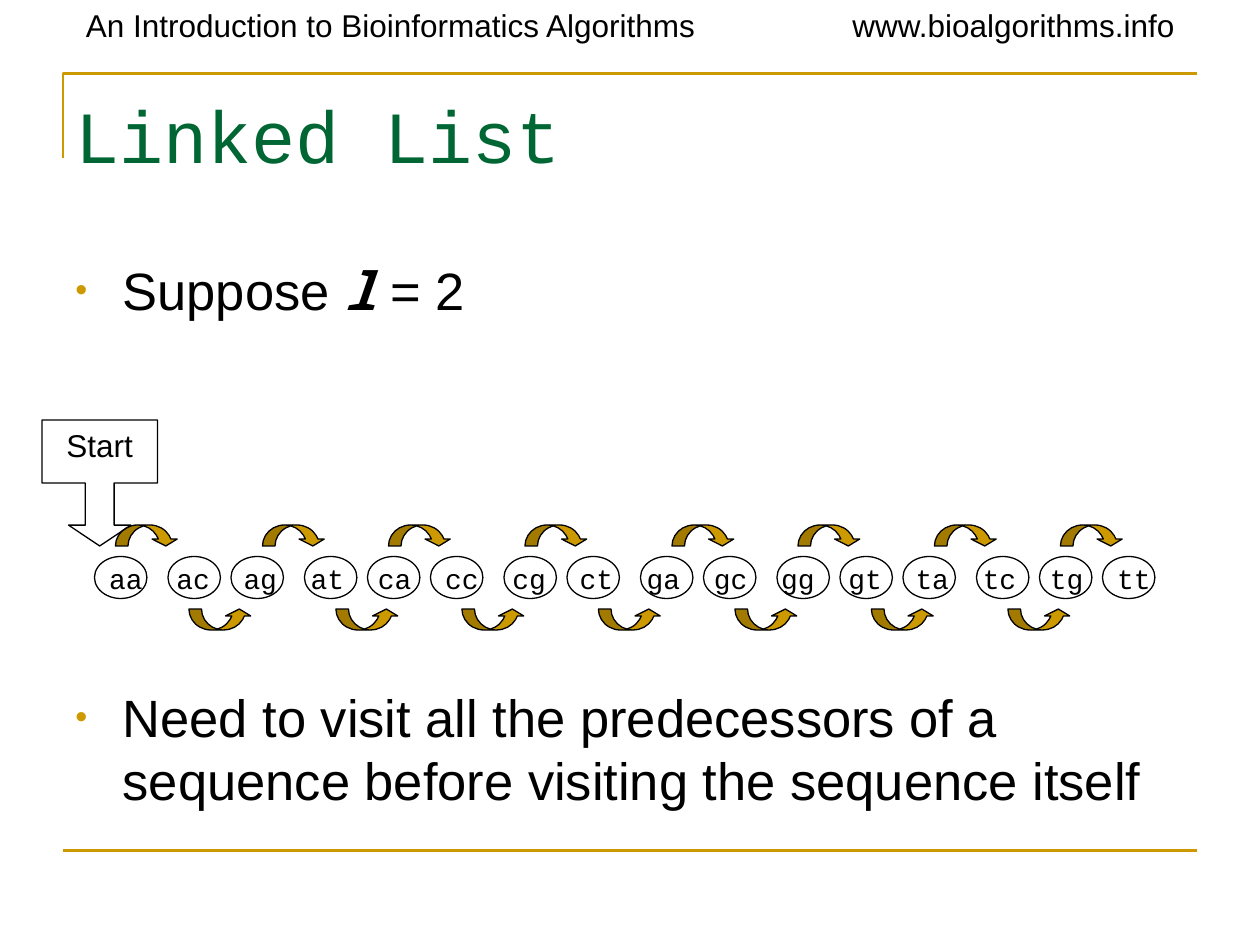
from lxml import etree
from pptx import Presentation
from pptx.dml.color import RGBColor
from pptx.enum.shapes import MSO_CONNECTOR, MSO_SHAPE
from pptx.enum.text import MSO_ANCHOR, PP_ALIGN
from pptx.oxml.ns import qn
from pptx.util import Cm, Pt

LEFT, CENTER = PP_ALIGN.LEFT, PP_ALIGN.CENTER
TOP, MIDDLE = MSO_ANCHOR.TOP, MSO_ANCHOR.MIDDLE
OVAL, CALLOUT = MSO_SHAPE.OVAL, MSO_SHAPE.DOWN_ARROW_CALLOUT
HOP_OVER, HOP_UNDER = MSO_SHAPE.CURVED_DOWN_ARROW, MSO_SHAPE.CURVED_UP_ARROW
STRAIGHT = MSO_CONNECTOR.STRAIGHT

THEME = {
    "gold": RGBColor(0xCC, 0x99, 0x00),
    "green": RGBColor(0x00, 0x66, 0x33),
    "black": RGBColor(0, 0, 0),
    "rule": Pt(1.5),
    "outline": Pt(0.75),
    "bullet_size": "65000",
}
HEADER = {"name": "Arial", "size": Pt(18)}
TITLE = {"name": "Courier New", "size": Pt(42)}
BODY = {"name": "Arial", "size": Pt(30)}
VARIABLE = {"name": "Noto Sans Mono", "size": Pt(30), "bold": True, "italic": True}
SEQUENCE = {"name": "Courier New", "size": Pt(16)}

HEADERS = [
    ("An Introduction to Bioinformatics Algorithms", (7, 0, 66, 4.8)),
    ("www.bioalgorithms.info", (80, 0, 35, 4.8)),
]
BULLETS = [
    ([("Suppose ", BODY), ("l", VARIABLE), (" = 2", BODY)], (6, 24, 108, 7.5)),
    ([("Need to visit all the predecessors of a sequence before visiting "
       "the sequence itself", BODY)], (6, 64.6, 108, 14)),
]
NODES = [
    ("aa", 9, 11), ("ac", 16, 18), ("ag", 22, 25), ("at", 29, 32),
    ("ca", 35, 37), ("cc", 41, 44), ("cg", 48, 50), ("ct", 54, 57),
    ("ga", 61, 64), ("gc", 67, 70), ("gg", 74, 76), ("gt", 80, 83),
    ("ta", 86, 89), ("tc", 93, 96), ("tg", 99, 101), ("tt", 105, None),
]
LABEL_PITCH = 6.4


def grid(units):
    return Cm(units * 2.54 / 12)


def fill_text(frame, runs, color, anchor=TOP, align=LEFT, inset=True):
    frame.word_wrap = True
    frame.vertical_anchor = anchor
    margins = {"margin_left": 0.25, "margin_right": 0.25,
               "margin_top": 0.13, "margin_bottom": 0.13}
    for margin, length in margins.items():
        setattr(frame, margin, Cm(length if inset else 0))
    paragraph = frame.paragraphs[0]
    paragraph.alignment = align
    for text, style in runs:
        run = paragraph.add_run()
        run.text = text
        run.font.color.rgb = color
        for attribute, setting in style.items():
            setattr(run.font, attribute, setting)
    return paragraph


def add_text(slide, box, runs, color=THEME["black"], **layout):
    textbox = slide.shapes.add_textbox(*map(grid, box))
    return fill_text(textbox.text_frame, runs, color, **layout)


def add_bullet(paragraph):
    properties = paragraph._p.get_or_add_pPr()
    properties.set("marL", str(grid(4.5)))
    properties.set("indent", str(-grid(4.5)))
    color = etree.SubElement(properties, qn("a:buClr"))
    etree.SubElement(color, qn("a:srgbClr"), val=str(THEME["gold"]))
    etree.SubElement(properties, qn("a:buSzPct"), val=THEME["bullet_size"])
    etree.SubElement(properties, qn("a:buFont"), typeface="Arial")
    etree.SubElement(properties, qn("a:buChar"), char="•")


def add_outlined(slide, kind, box, adjustments=(), fill=None):
    shape = slide.shapes.add_shape(kind, *map(grid, box))
    shape.shadow.inherit = False
    for index, ratio in enumerate(adjustments):
        shape.adjustments[index] = ratio
    if fill is None:
        shape.fill.background()
    else:
        shape.fill.solid()
        shape.fill.fore_color.rgb = fill
    shape.line.color.rgb = THEME["black"]
    shape.line.width = THEME["outline"]
    return shape


def add_rules(slide):
    outline = slide.shapes.build_freeform(grid(6), grid(15))
    outline.add_line_segments([(grid(6), grid(7)), (grid(114), grid(7))], close=False)
    corner = outline.convert_to_shape()
    corner.shadow.inherit = False
    corner.fill.background()
    footer = slide.shapes.add_connector(STRAIGHT, grid(6), grid(81), grid(114), grid(81))
    etree.SubElement(footer._element.spPr, qn("a:effectLst"))
    for rule in (corner, footer):
        rule.line.color.rgb = THEME["gold"]
        rule.line.width = THEME["rule"]


def add_labels(slide):
    labels = "\t".join(label for label, _, _ in NODES)
    paragraph = add_text(slide, (10.4, 53.5, 103, 3.2), [(labels, SEQUENCE)], inset=False)
    stops = etree.SubElement(paragraph._p.get_or_add_pPr(), qn("a:tabLst"))
    for step in range(1, len(NODES)):
        etree.SubElement(stops, qn("a:tab"), pos=str(grid(step * LABEL_PITCH)), algn="l")


def add_linked_list(slide):
    add_labels(slide)
    for _, column, _ in NODES:
        add_outlined(slide, OVAL, (column, 53, 5, 4))
    for index, (_, _, hop) in enumerate(NODES[:-1]):
        kind, row = (HOP_UNDER, 58) if index % 2 else (HOP_OVER, 50)
        add_outlined(slide, kind, (hop, row, 6, 2), (0.6, 1.2, 0.33), THEME["gold"])
    start = add_outlined(slide, CALLOUT, (4, 40, 11, 12), (0.25, 0.27, 0.18, 0.5))
    fill_text(start.text_frame, [("Start", HEADER)], THEME["black"], align=CENTER)


def main():
    deck = Presentation()
    deck.slide_width, deck.slide_height = Cm(25.4), Cm(19.05)
    slide = deck.slides.add_slide(deck.slide_layouts[6])
    add_rules(slide)
    for text, box in HEADERS:
        add_text(slide, box, [(text, HEADER)])
    add_text(slide, (6, 7, 108, 11.6), [("Linked List", TITLE)], THEME["green"],
             anchor=MIDDLE)
    for runs, box in BULLETS:
        add_bullet(add_text(slide, box, runs))
    add_linked_list(slide)
    deck.save("out.pptx")


if __name__ == "__main__":
    main()
